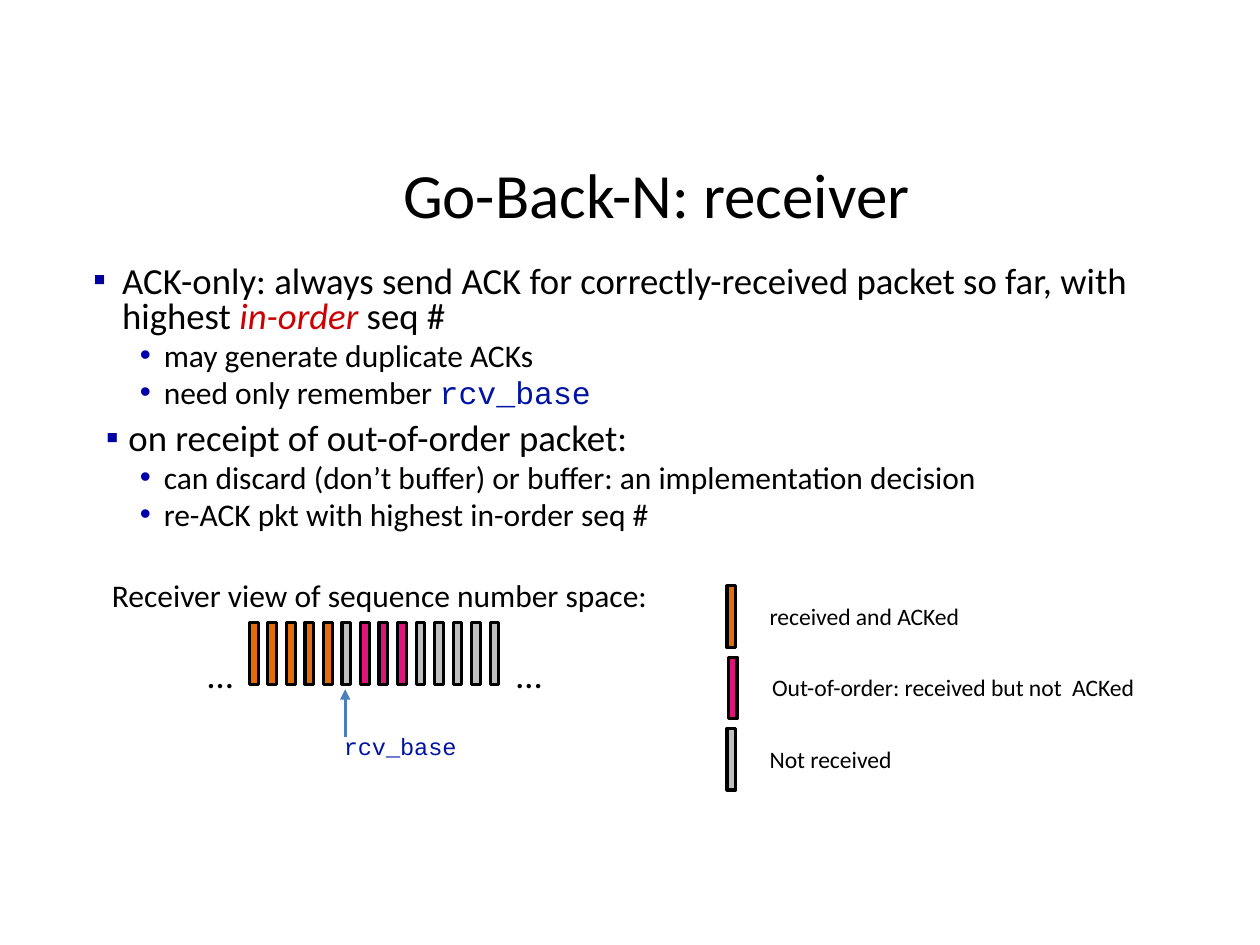
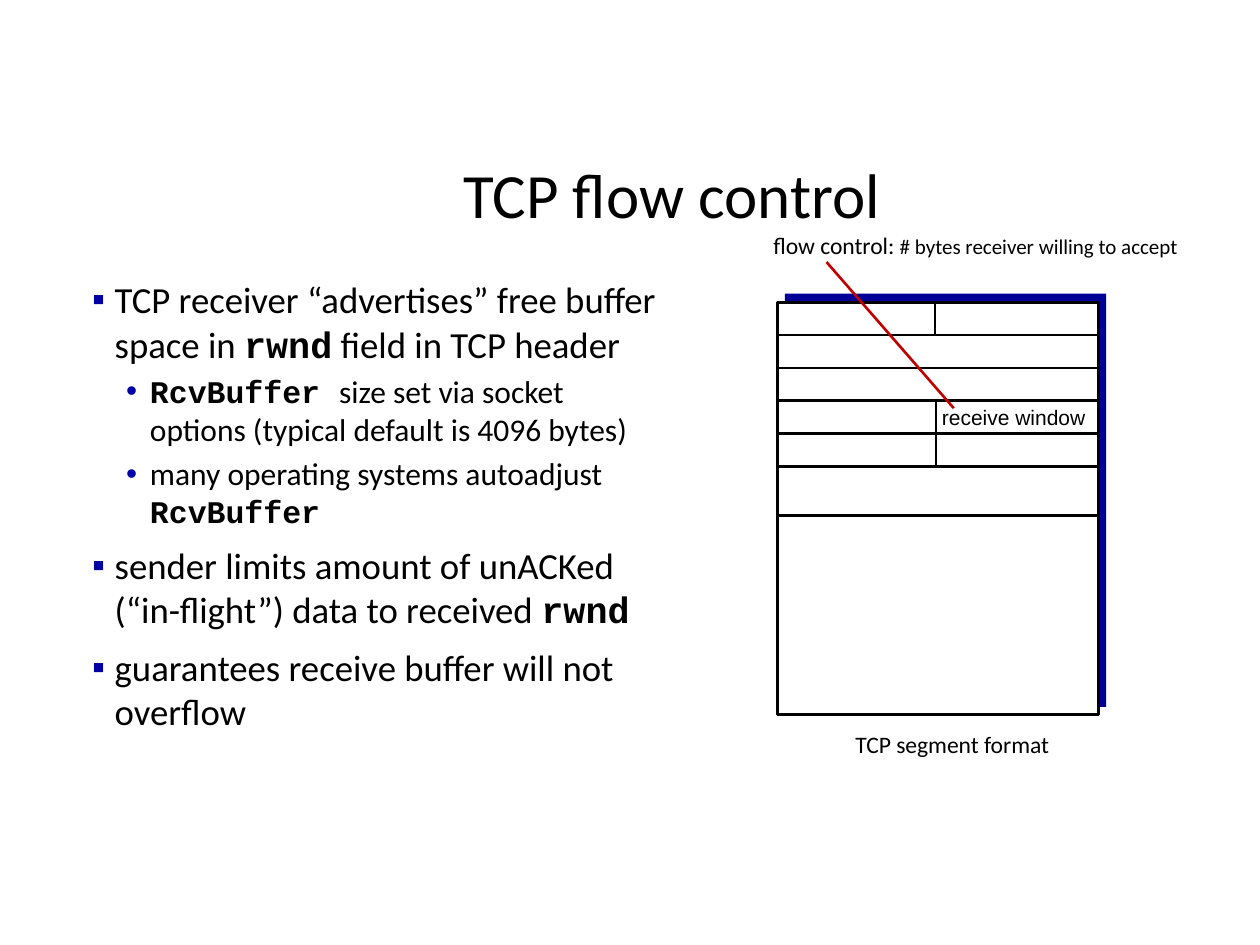
from pptx import Presentation
from pptx.dml.color import RGBColor
from pptx.enum.shapes import MSO_CONNECTOR, MSO_SHAPE
from pptx.enum.text import MSO_ANCHOR, MSO_AUTO_SIZE, PP_ALIGN
from pptx.oxml.ns import qn
from pptx.util import Inches, Pt
from lxml.etree import SubElement

# Shared look
BLACK = RGBColor(0x00, 0x00, 0x00)
WHITE = RGBColor(0xFF, 0xFF, 0xFF)
RED = RGBColor(0xCC, 0x00, 0x00)
DARK_RED = RGBColor(0xC0, 0x00, 0x00)
CODE_BLUE = RGBColor(0x00, 0x13, 0xA3)
ARROW_BLUE = RGBColor(0x4B, 0x7E, 0xBC)
SHADOW_BLUE = RGBColor(0x00, 0x00, 0x99)
ACKED = RGBColor(0xE4, 0x6C, 0x0A)
OUT_OF_ORDER = RGBColor(0xDF, 0x16, 0x7A)
NOT_RECEIVED = RGBColor(0xBF, 0xBF, 0xBF)
BODY_FONT, CODE_FONT, LABEL_FONT = "Calibri", "Courier New", "Arial"

# Bullet levels: character, colour, text size, space before, indent
BULLETS = [
    ("▪", "0000A3", 21, 7.5, (0.29, -0.18)),
    ("•", "0000A8", 18, 3.8, (0.57, -0.19)),
]

# Run styles used inside text
CODE = {"font": CODE_FONT, "bold": True}
CODE_NAME = {"font": CODE_FONT, "color": CODE_BLUE}
STRESSED = {"italic": True, "color": RED}


def add_run(paragraph, text, size, font=BODY_FONT, color=BLACK, bold=False, italic=False):
    run = paragraph.add_run()
    run.text = text
    run.font.size = Pt(size)
    run.font.name = font
    run.font.color.rgb = color
    run.font.bold = bold
    run.font.italic = italic


def add_titled_slide(prs, text, width):
    slide = prs.slides.add_slide(prs.slide_layouts[5])
    title = slide.shapes.title
    title.left, title.top = Inches(0.66), Inches(1.17)
    title.width, title.height = Inches(width), Inches(0.73)
    title.text_frame.vertical_anchor = MSO_ANCHOR.MIDDLE
    heading = title.text_frame.paragraphs[0]
    heading.alignment = PP_ALIGN.CENTER
    add_run(heading, text, 36)
    return slide


def add_frame(slide, left, top, width, height, wrap=True):
    box = slide.shapes.add_textbox(Inches(left), Inches(top), Inches(width), Inches(height))
    box.text_frame.word_wrap = wrap
    return box.text_frame


def add_label(slide, left, top, width, height, runs, wrap=False, align=None, spacing=None):
    """Each run is (text, size) or (text, size, style)."""
    frame = add_frame(slide, left, top, width, height, wrap)
    frame.auto_size = MSO_AUTO_SIZE.SHAPE_TO_FIT_TEXT
    paragraph = frame.paragraphs[0]
    paragraph.alignment = align
    paragraph.line_spacing = spacing
    for text, size, *style in runs:
        add_run(paragraph, text, size, **(style[0] if style else {}))


def set_bullet(paragraph, char, color, indent):
    properties = paragraph._p.get_or_add_pPr()
    properties.set("marL", str(Inches(indent[0])))
    properties.set("indent", str(Inches(indent[1])))
    SubElement(SubElement(properties, qn("a:buClr")), qn("a:srgbClr"), val=color)
    SubElement(properties, qn("a:buFont"), typeface=LABEL_FONT)
    SubElement(properties, qn("a:buChar"), char=char)


def add_bullets(slide, left, top, width, height, items, spacing=None, first_indent=None):
    """Each item is (level, runs); each run is (text,) or (text, style)."""
    frame = add_frame(slide, left, top, width, height)
    frame.margin_left = frame.margin_right = Inches(0.07)
    frame.margin_top = frame.margin_bottom = Inches(0.04)
    for number, (level, runs) in enumerate(items):
        paragraph = frame.add_paragraph() if number else frame.paragraphs[0]
        char, color, size, gap, indent = BULLETS[level]
        if number == 0 and first_indent:
            indent = first_indent
        set_bullet(paragraph, char, color, indent)
        paragraph.level = level
        paragraph.line_spacing = spacing
        paragraph.space_before = Pt(gap if number else 0)
        for text, *style in runs:
            add_run(paragraph, text, size, **(style[0] if style else {}))


def add_rect(slide, left, top, width, height, fill, line_width=None):
    rect = slide.shapes.add_shape(
        MSO_SHAPE.RECTANGLE, Inches(left), Inches(top), Inches(width), Inches(height))
    rect.shadow.inherit = False
    rect.fill.solid()
    rect.fill.fore_color.rgb = fill
    if line_width:
        rect.line.color.rgb = BLACK
        rect.line.width = Pt(line_width)
    else:
        rect.line.fill.background()


def add_packet(slide, left, top, state):
    add_rect(slide, left, top, 0.07, 0.49, state, 1.75)


def add_line(slide, start, end, color=BLACK, width=1.5, arrow=False):
    line = slide.shapes.add_connector(
        MSO_CONNECTOR.STRAIGHT, *(Inches(value) for value in (*start, *end)))
    line.line.color.rgb = color
    line.line.width = Pt(width)
    if arrow:
        SubElement(line.line._get_or_add_ln(), qn("a:tailEnd"), type="triangle")
    SubElement(line._element.spPr, qn("a:effectLst"))


def build_receiver_slide(prs):
    slide = add_titled_slide(prs, "Go-Back-N: receiver", 9.1)
    add_bullets(slide, 0.66, 2.07, 8.46, 2.34, [
        (0, [("ACK-only: always send ACK for correctly-received packet so far, with highest ",),
             ("in-order", STRESSED), (" seq #",)]),
        (1, [("may generate duplicate ACKs",)]),
        (1, [("need only remember ",), ("rcv_base", CODE_NAME)]),
        (0, [("on receipt of out-of-order packet:",)]),
        (1, [("can discard (don’t buffer) or buffer: an implementation decision",)]),
        (1, [("re-ACK pkt with highest in-order seq #",)]),
    ], spacing=0.8, first_indent=(0.24, -0.23))

    # Sequence number space
    add_label(slide, 0.79, 4.52, 4.51, 0.4, [("Receiver view of sequence number space:", 18)])
    packets = [ACKED] * 5 + [NOT_RECEIVED] + [OUT_OF_ORDER] * 3 + [NOT_RECEIVED] * 5
    first, last = 1.98, 3.89
    pitch = (last - first) / (len(packets) - 1)
    for number, state in enumerate(packets):
        add_packet(slide, first + number * pitch, 4.94, state)
    for ellipsis_left in (1.55, 4):
        add_label(slide, ellipsis_left, 5.12, 0.41, 0.45, [("…", 21)])
    add_label(slide, 2.63, 5.76, 1.11, 0.33, [("rcv_base", 13.5, CODE_NAME)])
    add_line(slide, (2.74, 5.85), (2.74, 5.47), ARROW_BLUE, 1.75, arrow=True)

    # Legend
    legend = [
        (ACKED, "received and ACKed", 1.73),
        (OUT_OF_ORDER, "Out-of-order: received but not  ACKed", 3.12),
        (NOT_RECEIVED, "Not received", 1.19),
    ]
    for row, (state, meaning, width) in enumerate(legend):
        top = 4.65 + row * 0.565
        nudge = 0.02 if state == OUT_OF_ORDER else 0
        add_packet(slide, 5.77 + nudge / 2, top, state)
        add_label(slide, 6.01 + nudge, top + 0.08, width, 0.33, [(meaning, 13.5)])


def build_flow_control_slide(prs):
    slide = add_titled_slide(prs, "TCP flow control", 9.34)
    add_bullets(slide, 0.55, 2.16, 4.78, 4.02, [
        (0, [("TCP receiver “advertises” free buffer space in ",), ("rwnd", CODE),
             (" field in TCP header",)]),
        (1, [("RcvBuffer ", CODE),
             ("size set via socket options (typical default is 4096 bytes)",)]),
        (1, [("many operating systems autoadjust ",), ("RcvBuffer", CODE)]),
        (0, [("sender limits amount of unACKed (“in-flight”) data to received ",),
             ("rwnd", CODE)]),
        (0, [("guarantees receive buffer will not overflow",)]),
    ])

    # Segment with its header rows
    left, top, width, row_height = 6.17, 2.4, 2.55, 0.26
    add_rect(slide, left + 0.06, top - 0.07, width, 3.28, SHADOW_BLUE)
    add_rect(slide, left, top, width, 3.27, WHITE, 1.5)
    rows = [top + number * row_height for number in range(1, 6)]
    for row in rows + [4.09]:
        add_line(slide, (left, row), (left + width, row))
    add_line(slide, (7.42, top), (7.42, rows[0]))
    add_line(slide, (7.43, rows[2]), (7.43, rows[4]))

    # Labels and pointer
    add_label(slide, 6.04, 1.81, 3.57, 0.31,
              [("flow control: ", 13.5), ("# bytes receiver willing to accept", 12)],
              wrap=True, spacing=0.9)
    add_label(slide, 7.37, 3.16, 1.35, 0.3, [("receive window", 12, {"font": LABEL_FONT})],
              align=PP_ALIGN.CENTER)
    add_line(slide, (7.57, 3.24), (6.56, 2.08), DARK_RED)
    add_label(slide, 6.69, 5.77, 1.89, 0.31, [("TCP segment format", 13.5)],
              wrap=True, spacing=0.9)


def main():
    prs = Presentation()
    prs.slide_width, prs.slide_height = Inches(10), Inches(7.5)
    build_receiver_slide(prs)
    build_flow_control_slide(prs)
    prs.save("out.pptx")


if __name__ == "__main__":
    main()
